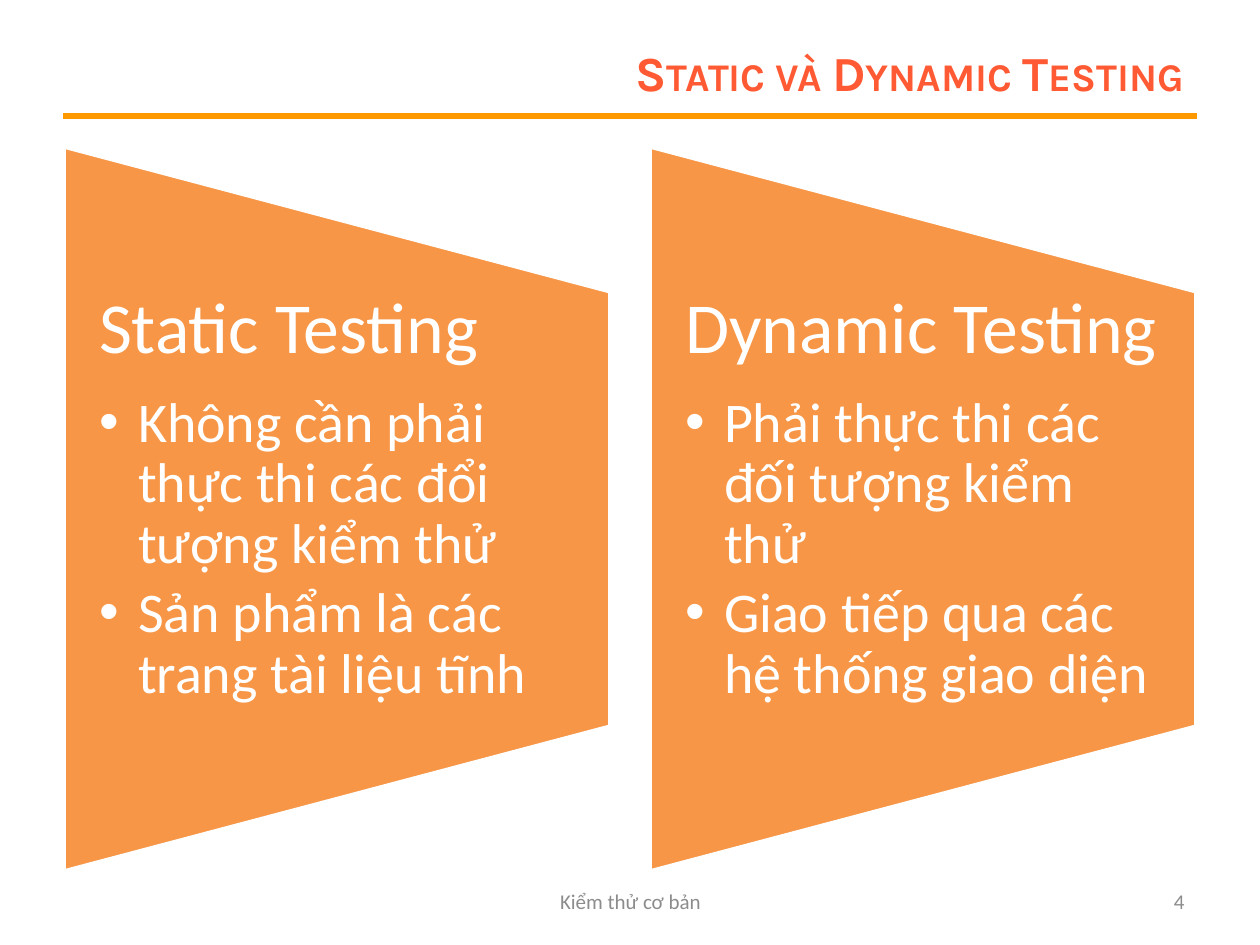
from lxml.etree import SubElement
from pptx import Presentation
from pptx.dml.color import RGBColor
from pptx.enum.shapes import MSO_CONNECTOR, MSO_SHAPE
from pptx.enum.text import MSO_ANCHOR, PP_ALIGN
from pptx.oxml.ns import qn
from pptx.util import Pt

EMU_PER_PX = 914400 / 126
WHITE = RGBColor(0xFF, 0xFF, 0xFF)
ORANGE = RGBColor(0xF7, 0x96, 0x46)
AMBER = RGBColor(0xFF, 0x99, 0x00)
CORAL = RGBColor(0xFF, 0x5A, 0x33)
GREY = RGBColor(0x8C, 0x8C, 0x8C)

TITLE_FONT = {"name": "Karla", "size": Pt(28), "bold": True}
HEADING_FONT = {"name": "Calibri", "size": Pt(41)}
BULLET_FONT = {"name": "Calibri", "size": Pt(32)}
FOOTER_FONT = {"name": "Calibri", "size": Pt(12)}

PANEL_WIDTH, PANEL_HEIGHT = 546, 724
PANELS = [
    (64, "Static Testing", [
        "Không cần phải thực thi các đổi tượng kiểm thử",
        "Sản phẩm là các trang tài liệu tĩnh",
    ]),
    (650, "Dynamic Testing", [
        "Phải thực thi các đối tượng kiểm thử",
        "Giao tiếp qua các hệ thống giao diện",
    ]),
]
FOOTERS = [
    ((431, 876, 399, 50), "Kiểm thử cơ bản", PP_ALIGN.CENTER),
    ((903, 876, 294, 50), "4", PP_ALIGN.RIGHT),
]


def px(length):
    return round(length * EMU_PER_PX)


def set_attributes(target, values):
    for name, value in values.items():
        setattr(target, name, value)


def write(para, text, font, color):
    span = para.add_run()
    span.text = text
    set_attributes(span.font, font)
    span.font.color.rgb = color
    return span


def add_bullet(para, indent):
    properties = para._p.get_or_add_pPr()
    properties.set("marL", str(px(indent)))
    properties.set("indent", str(-px(indent)))
    SubElement(properties, qn("a:buFont"), typeface="Arial")
    SubElement(properties, qn("a:buChar"), char="•")


def add_title(page, left, top, width, height, text):
    """Fill the title placeholder and draw the rule below it."""
    title = page.shapes.title
    set_attributes(title, {"left": px(left + 221), "top": px(top),
                           "width": px(width - 221), "height": px(height)})
    frame = title.text_frame
    set_attributes(frame, {"vertical_anchor": MSO_ANCHOR.MIDDLE, "word_wrap": True})
    para = frame.paragraphs[0]
    para.alignment = PP_ALIGN.RIGHT
    span = write(para, text, TITLE_FONT, CORAL)
    span._r.get_or_add_rPr().set("cap", "small")

    rule_y = px(top + height + 11)
    rule = page.shapes.add_connector(
        MSO_CONNECTOR.STRAIGHT, px(left), rule_y, px(left + width), rule_y)
    rule.line.color.rgb = AMBER
    rule.line.width = Pt(3)
    SubElement(rule._element.spPr, qn("a:effectLst"))


def add_panel(page, left, top, width, height, heading, bullets):
    """Draw a trapezoid turned on its side, with its text in the middle."""
    shift = (height - width) / 2
    panel = page.shapes.add_shape(
        MSO_SHAPE.FLOWCHART_MANUAL_OPERATION,
        px(left - shift), px(top + shift), px(height), px(width))
    panel.rotation = 270
    panel.shadow.inherit = False
    panel.fill.solid()
    panel.fill.fore_color.rgb = ORANGE
    panel.line.color.rgb = WHITE
    panel.line.width = Pt(2)

    box = page.shapes.add_textbox(
        px(left), px(top + height / 5), px(width), px(height * 3 / 5))
    frame = box.text_frame
    set_attributes(frame, {"word_wrap": True, "margin_left": px(35),
                           "margin_right": px(35), "margin_top": 0,
                           "margin_bottom": 0})
    para = frame.paragraphs[0]
    set_attributes(para, {"line_spacing": 0.9, "space_after": Pt(14)})
    write(para, heading, HEADING_FONT, WHITE)
    for text in bullets:
        para = frame.add_paragraph()
        add_bullet(para, 39)
        set_attributes(para, {"level": 1, "line_spacing": 0.9, "space_after": Pt(5)})
        write(para, text, BULLET_FONT, WHITE)


def add_footer(page, left, top, width, height, text, alignment):
    box = page.shapes.add_textbox(px(left), px(top), px(width), px(height))
    frame = box.text_frame
    set_attributes(frame, {"vertical_anchor": MSO_ANCHOR.MIDDLE, "word_wrap": True})
    para = frame.paragraphs[0]
    para.alignment = alignment
    write(para, text, FOOTER_FONT, GREY)


def main():
    deck = Presentation()
    set_attributes(deck, {"slide_width": px(1260), "slide_height": px(945)})
    page = deck.slides.add_slide(deck.slide_layouts[5])
    add_title(page, 63, 38, 1134, 67, "Static và Dynamic Testing")
    for left, heading, bullets in PANELS:
        add_panel(page, left, 147, PANEL_WIDTH, PANEL_HEIGHT, heading, bullets)
    for box, text, alignment in FOOTERS:
        add_footer(page, *box, text, alignment)
    deck.save("out.pptx")


if __name__ == "__main__":
    main()
